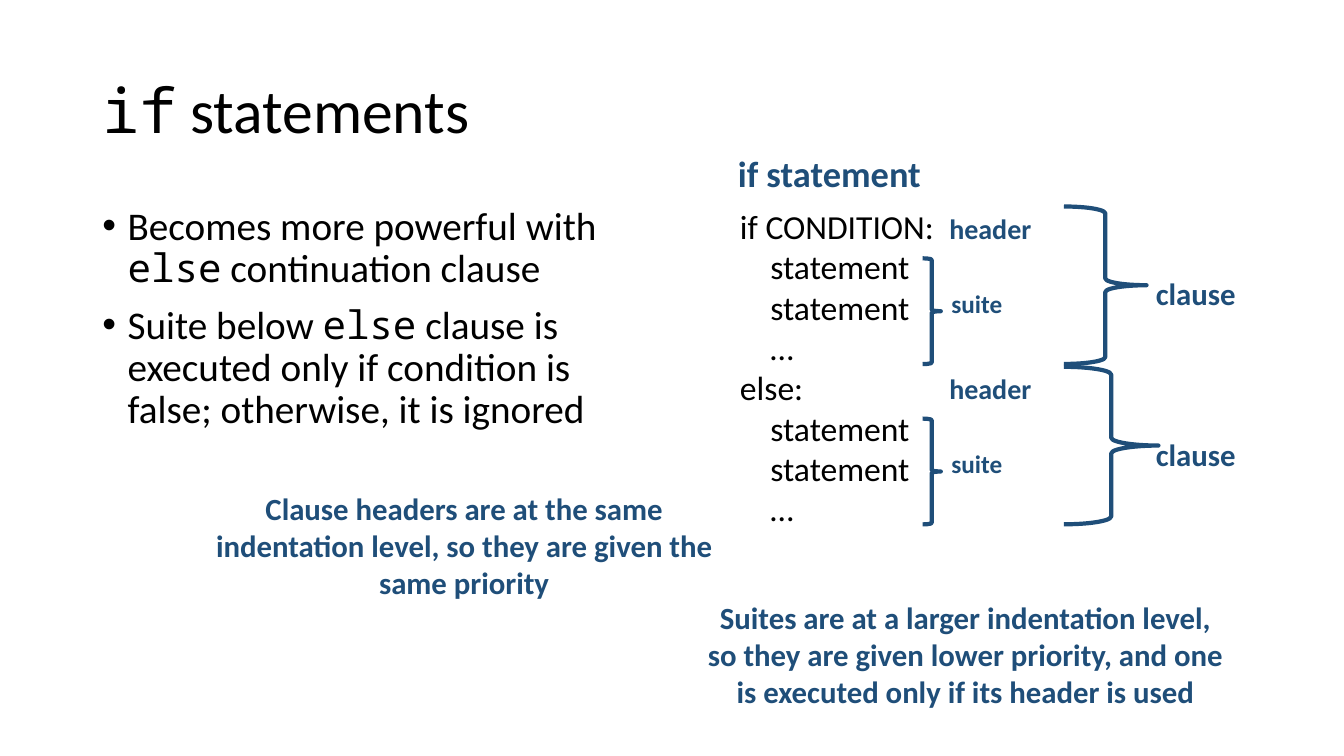
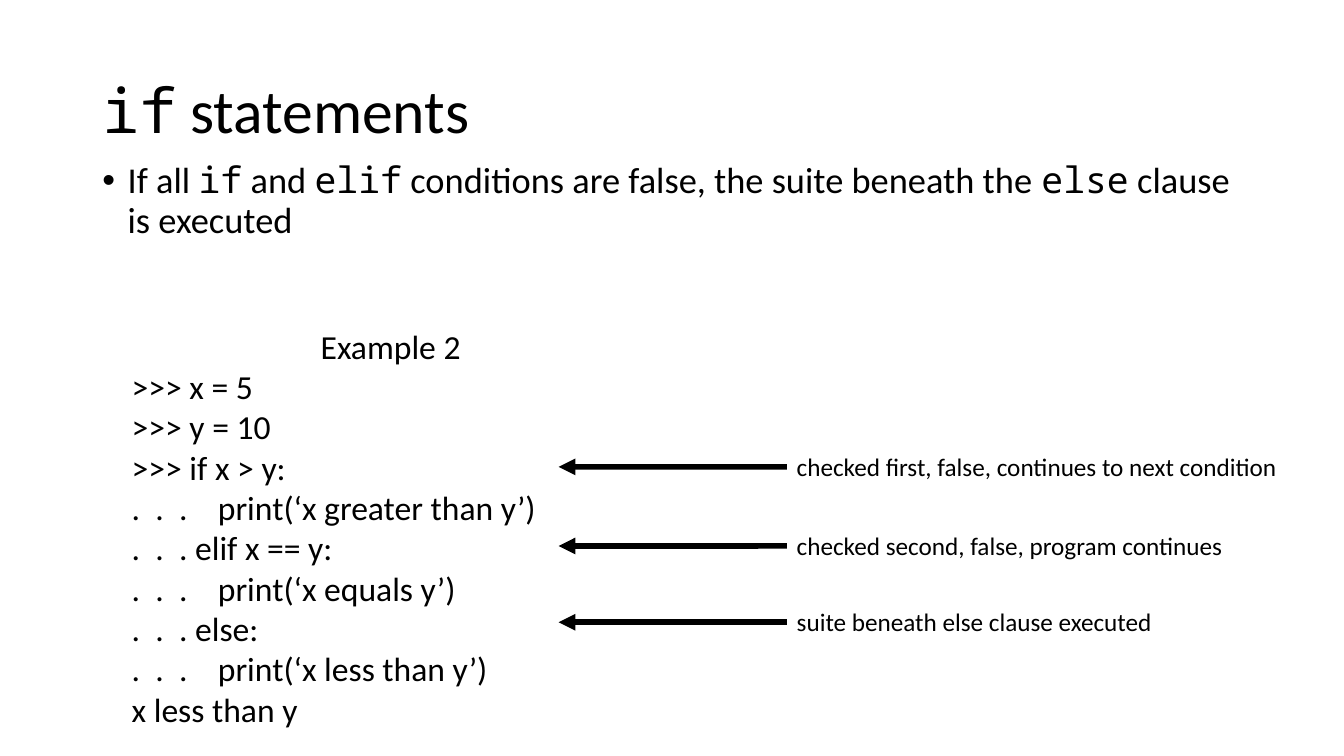
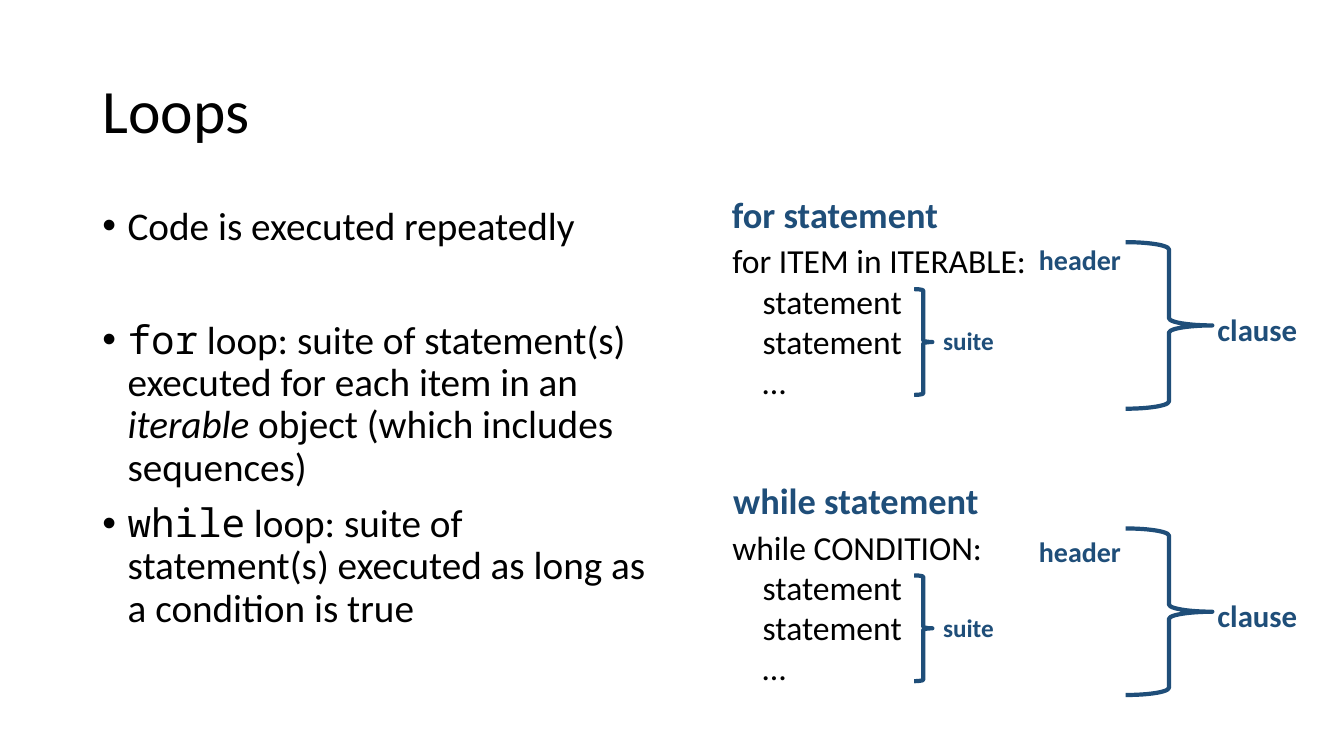
from dataclasses import dataclass

from lxml.etree import SubElement
from pptx import Presentation
from pptx.dml.color import RGBColor
from pptx.enum.shapes import MSO_CONNECTOR as Connector, MSO_SHAPE as Shape
from pptx.enum.text import MSO_ANCHOR as Anchor, MSO_AUTO_SIZE as AutoSize, PP_ALIGN as Align
from pptx.oxml.ns import qn
from pptx.util import Pt


@dataclass(frozen=True)
class Theme:
    ink: RGBColor = RGBColor(0, 0, 0)
    accent: RGBColor = RGBColor(0x1F, 0x4E, 0x79)
    sans: str = "Calibri"
    mono: str = "Noto Sans Mono"
    title: int = 44
    body: int = 28
    heading: int = 26
    code: int = 24
    clause: int = 22
    header: int = 20
    small: int = 18
    margin: int = 66
    bullet_indent: int = 18


THEME = Theme()
SUITE = ["    statement", "    statement", "    …"]


class Deck:
    def __init__(self, theme):
        self.theme = theme
        self.prs = Presentation()
        self.prs.slide_width, self.prs.slide_height = Pt(960), Pt(540)

    def new_slide(self, title):
        self.slide = self.prs.slides.add_slide(self.prs.slide_layouts[1])
        heading = self.slide.shapes.title
        self.place(heading, self.theme.margin, 29, 828, 104.5)
        heading.text_frame.vertical_anchor = Anchor.MIDDLE
        paragraph = heading.text_frame.paragraphs[0]
        paragraph.alignment = Align.LEFT
        paragraph.line_spacing = 0.9
        self.fill_paragraph(paragraph, title, self.theme.title)

    def place(self, shape, x, y, width, height):
        shape.left, shape.top, shape.width, shape.height = map(Pt, (x, y, width, height))

    def fill_paragraph(self, paragraph, text, size, color=None, bold=False):
        """Fill a paragraph; `backticks` mark code and _underscores_ mark italics."""
        font = paragraph.font
        font.name, font.size, font.bold = self.theme.sans, Pt(size), bold
        font.color.rgb = color or self.theme.ink
        for i, part in enumerate(text.split("`")):
            for j, piece in enumerate(part.split("_")):
                if not piece:
                    continue
                run = paragraph.add_run()
                run.text = piece
                if i % 2:
                    run.font.name = self.theme.mono
                if j % 2:
                    run.font.italic = True

    def bullets(self, y, width, items, size, gaps=None):
        """Fill the body; gaps maps an item's index to its space before."""
        body = self.slide.placeholders[1]
        self.place(body, self.theme.margin, y, width, 343)
        frame = body.text_frame
        frame.auto_size = AutoSize.NONE
        for i, item in enumerate(items):
            paragraph = frame.add_paragraph() if i else frame.paragraphs[0]
            props = paragraph._p.get_or_add_pPr()
            props.set("marL", str(Pt(self.theme.bullet_indent)))
            props.set("indent", str(-Pt(self.theme.bullet_indent)))
            paragraph.line_spacing = 0.9
            paragraph.space_before = Pt((gaps or {}).get(i, 10) if i else 0)
            self.fill_paragraph(paragraph, item, size)

    def text(self, x, y, width, lines, size, color=None, bold=False, align=Align.LEFT, rows=None):
        height = 1.21 * size * (rows or len(lines)) + 7.5
        box = self.slide.shapes.add_textbox(Pt(x), Pt(y), Pt(width), Pt(height))
        frame = box.text_frame
        frame.word_wrap = True
        for i, line in enumerate(lines):
            paragraph = frame.add_paragraph() if i else frame.paragraphs[0]
            paragraph.alignment = align
            self.fill_paragraph(paragraph, line, size, color, bold)
        return box

    def code(self, x, y, width, lines):
        return self.text(x, y, width, lines, self.theme.code)

    def label(self, x, y, width, text, size, align=Align.LEFT, rows=1):
        self.text(x, y, width, [text], size, self.theme.accent, True, align, rows)

    def brace(self, x, y, width, height):
        brace = self.slide.shapes.add_shape(Shape.RIGHT_BRACE, Pt(x), Pt(y), Pt(width), Pt(height))
        brace.shadow.inherit = False
        brace.fill.background()
        brace.line.color.rgb = self.theme.accent
        brace.line.width = Pt(3)

    def clause_marks(self, header, suite, suite_drop, clause, clause_x):
        """Mark header, suite and clause; suite is a corner, clause a whole frame."""
        theme = self.theme
        self.label(*header, 100, "header", theme.header)
        self.brace(*suite, 13, 75.6)
        self.label(suite[0] + 13.5, suite[1] + suite_drop, 70, "suite", theme.small)
        self.brace(*clause)
        self.label(clause_x, clause[1] + 45.5, 90, "clause", theme.clause)

    def remark(self, y, text):
        """Put a remark with an arrow pointing left from it, centred on y."""
        box = self.text(562, y - 14.65, 367, [text], self.theme.small)
        arrow = self.slide.shapes.add_connector(
            Connector.STRAIGHT, Pt(562), Pt(y), Pt(399), Pt(y))
        arrow.begin_connect(box, 1)
        arrow.line.color.rgb = self.theme.ink
        arrow.line.width = Pt(4)
        SubElement(arrow.line._get_or_add_ln(), qn("a:tailEnd"), type="triangle")
        SubElement(arrow._element.spPr, qn("a:effectLst"))


def else_slide(deck):
    deck.new_slide("`if` statements")
    deck.bullets(144, 414, [
        "Becomes more powerful with `else` continuation clause",
        "Suite below `else` clause is executed only if condition is false; otherwise, it is ignored",
    ], THEME.body)
    deck.label(517.5, 104.5, 150, "if statement", THEME.heading, Align.CENTER)
    deck.code(521.5, 143.5, 384, ["if CONDITION:", *SUITE, "else:", *SUITE])
    for top, brace_width in ((147.5, 59), (262, 67.5)):
        deck.clause_marks((671, top), (659, top + 37), 18, (760, top, brace_width, 112.5), 818.5)
    deck.label(139.5, 346.5, 384, "Clause headers are at the same indentation level, "
               "so they are given the same priority", THEME.clause, Align.CENTER, 3)
    deck.label(497.5, 424, 384, "Suites are at a larger indentation level, so they are given "
               "lower priority, and one is executed only if its header is used",
               THEME.clause, Align.CENTER, 3)


def elif_slide(deck):
    deck.new_slide("`if` statements")
    deck.bullets(112.5, 828, [
        "If all `if` and `elif` conditions are false, the suite beneath the `else` clause is executed",
    ], THEME.heading)
    example = deck.code(87, 229, 384, [
        "Example 2",
        ">>> x = 5",
        ">>> y = 10",
        ">>> if x > y:",
        ".  .  .    print(‘x greater than y’)",
        ".  .  . elif x == y:",
        ".  .  .    print(‘x equals y’)",
        ".  .  . else:",
        ".  .  .    print(‘x less than y’)",
        "x less than y",
    ])
    example.text_frame.paragraphs[0].alignment = Align.CENTER
    for y, text in (
        (333.5, "checked first, false, continues to next condition"),
        (390, "checked second, false, program continues"),
        (444.5, "suite beneath else clause executed"),
    ):
        deck.remark(y, text)


def loops_slide(deck):
    deck.new_slide("Loops")
    deck.bullets(144, 419, [
        "Code is executed repeatedly",
        "`for` loop: suite of statement(s) executed for each item in an "
        "_iterable_ object (which includes sequences)",
        "`while` loop: suite of statement(s) executed as long as a condition is true",
    ], THEME.body, gaps={1: 51})
    for top, width, name, opening, header_y in (
        (133.5, 169, "for statement", "for ITEM in ITERABLE:", 170),
        (338, 199, "while statement", "while CONDITION:", 378),
    ):
        deck.label(512, top, width, name, THEME.heading, Align.CENTER)
        deck.code(516, top + 34.5, 237, [opening, *SUITE])
        deck.clause_marks((735, header_y), (653, top + 73), 22.5,
                          (804, top + 39.5, 62, 119), 862.5)


def main():
    deck = Deck(THEME)
    for build in (else_slide, elif_slide, loops_slide):
        build(deck)
    deck.prs.save("out.pptx")


if __name__ == "__main__":
    main()
